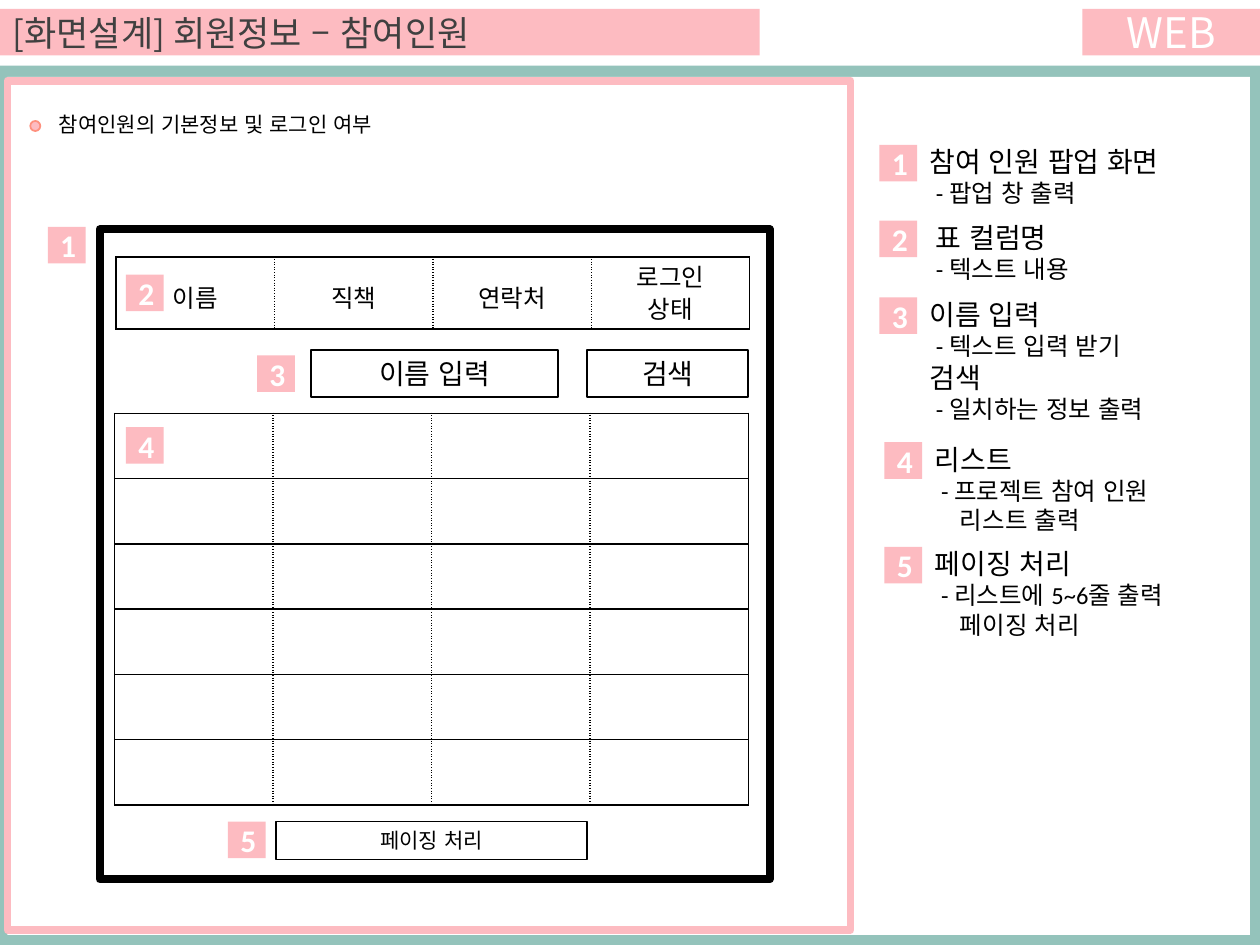
import pptx
import pptx.util
import pptx.dml.color
import pptx.enum.dml
import pptx.enum.lang
import pptx.enum.shapes
import pptx.enum.text
import pptx.oxml
from pptx.oxml.ns import nsdecls

Inches, Pt = pptx.util.Inches, pptx.util.Pt
SHAPE = pptx.enum.shapes.MSO_SHAPE
ALIGN = pptx.enum.text.PP_ALIGN
ANCHOR = pptx.enum.text.MSO_ANCHOR
FIT = pptx.enum.text.MSO_AUTO_SIZE

# ---- Theme ----
THEME = {
    "pink": "FDBBC1", "coral": "FE907E", "green": "94C3BB",
    "white": "FFFFFF", "black": "000000", "grey": "404040",
    "latin": "Calibri", "korean": "Noto Sans CJK KR",
    "web": 24, "title": 20, "badge": 18, "head": 16, "item": 14, "small": 12,
}

# ---- Content ----
TITLE = "[화면설계] 회원정보 – 참여인원"
PLATFORM = "WEB"
SUMMARY = "참여인원의 기본정보 및 로그인 여부"
COLUMNS = [["이름"], ["직책"], ["연락처"], ["로그인", "상태"]]
LIST_ROWS = 6

# label, size, line width, box
FIELDS = [
    ("이름 입력", "head", 1, (2.47, 2.78, 1.96, 0.37)),
    ("검색", "head", 1, (4.66, 2.78, 1.28, 0.37)),
    ("페이징 처리", "small", 0.75, (2.19, 6.52, 2.47, 0.3)),
]
# badge positions on the wireframe
MARKERS = [("1", 0.38, 1.8), ("2", 1, 2.18), ("3", 2.04, 2.82),
           ("4", 1, 3.39), ("5", 1.81, 6.52)]
# number, left, top, box height, lines as (size, indent, text)
NOTES = [
    ("1", 6.98, 1.15, 0.64, [("head", 0, "참여 인원 팝업 화면"),
                             ("item", 0.05, "- 팝업 창 출력")]),
    ("2", 6.98, 1.75, 0.64, [("head", 0.05, "표 컬럼명"),
                             ("item", 0.05, "- 텍스트 내용")]),
    ("3", 6.98, 2.36, 1.18, [("head", 0, "이름 입력"),
                             ("item", 0.05, "- 텍스트 입력 받기"),
                             ("head", 0, "검색"),
                             ("item", 0.05, "- 일치하는 정보 출력")]),
    ("4", 7.02, 3.51, 0.88, [("head", 0, "리스트"),
                             ("item", 0.05, "- 프로젝트 참여 인원"),
                             ("item", 0.2, "리스트 출력")]),
    ("5", 7.02, 4.34, 0.88, [("head", 0, "페이징 처리"),
                             ("item", 0.05, "- 리스트에 5~6줄 출력"),
                             ("item", 0.2, "페이징 처리")]),
]


def rgb(name):
    return pptx.dml.color.RGBColor.from_string(THEME[name])


def add_run(p, text, size, color="black", font="latin", bold=False):
    r = p.add_run()
    r.text = text
    r.font.size = Pt(THEME[size])
    r.font.bold = bold
    r.font.name = THEME[font]
    r.font.color.rgb = rgb(color)
    r.font.language_id = pptx.enum.lang.MSO_LANGUAGE_ID.KOREAN
    r.font._element.find(pptx.oxml.ns.qn("a:latin")).addnext(pptx.oxml.parse_xml(
        f'<a:ea {nsdecls("a")} typeface="{THEME["korean"]}"/>'))


def add_box(s, box, fill=None, line=None, width=1, kind=SHAPE.RECTANGLE):
    sp = s.shapes.add_shape(kind, *map(Inches, box))
    sp.shadow.inherit = False
    if fill:
        sp.fill.solid()
        sp.fill.fore_color.rgb = rgb(fill)
    else:
        sp.fill.background()
    if line:
        sp.line.color.rgb = rgb(line)
        sp.line.width = Pt(width)
    else:
        sp.line.fill.background()
    return sp


def add_label(sp, text, *style, **options):
    p = sp.text_frame.paragraphs[0]
    p.alignment = ALIGN.CENTER
    add_run(p, text, *style, **options)


def add_badge(s, number, left, top):
    sp = add_box(s, (left, top, 0.3, 0.29), fill="pink")
    add_label(sp, number, "badge", "white", bold=True)


def add_text(s, box, lines):
    tf = s.shapes.add_textbox(*map(Inches, box)).text_frame
    tf.word_wrap = True
    tf.auto_size = FIT.SHAPE_TO_FIT_TEXT
    for i, (size, indent, text) in enumerate(lines):
        p = tf.add_paragraph() if i else tf.paragraphs[0]
        if indent:
            p._p.get_or_add_pPr().set("marL", str(Inches(indent)))
        add_run(p, text, size)


def add_grid(s, box, rows):
    cols = len(COLUMNS)
    tbl = s.shapes.add_table(rows, cols, *map(Inches, box)).table
    tbl.first_row = tbl.horz_banding = False
    for r in range(rows):
        for c in range(cols):
            cell = tbl.cell(r, c)
            dashes = {"L": "sysDot" if c else "solid",
                      "R": "sysDot" if c < cols - 1 else "solid",
                      "T": "solid", "B": "solid"}
            for side, dash in dashes.items():
                cell._tc.get_or_add_tcPr().append(pptx.oxml.parse_xml(
                    f'<a:ln{side} {nsdecls("a")} w="{Pt(1)}"><a:solidFill>'
                    f'<a:srgbClr val="{THEME["black"]}"/></a:solidFill>'
                    f'<a:prstDash val="{dash}"/></a:ln{side}>'))
            cell.fill.solid()
            cell.fill.fore_color.rgb = rgb("white")
    return tbl


def main():
    prs = pptx.Presentation()
    prs.slide_width, prs.slide_height = Inches(10), Inches(7.5)
    s = prs.slides.add_slide(prs.slide_layouts[5])

    # Title bar and platform tag
    title = s.shapes.title
    title.left, title.top, title.width, title.height = map(Inches, (0, 0.07, 6.03, 0.37))
    title.fill.solid()
    title.fill.fore_color.rgb = rgb("pink")
    tf = title.text_frame
    tf.auto_size = FIT.NONE
    tf.vertical_anchor = ANCHOR.MIDDLE
    tf.paragraphs[0].alignment = ALIGN.LEFT
    add_run(tf.paragraphs[0], TITLE, "title", "grey", "korean")
    tag = add_box(s, (8.59, 0.07, 1.41, 0.37), fill="pink")
    add_label(tag, PLATFORM, "web", "white", "korean")

    # Frames
    add_box(s, (0, 0.52, 10, 6.98), fill="green")
    add_box(s, (0.06, 0.61, 9.86, 6.81), fill="white")
    add_box(s, (0.06, 0.64, 6.69, 6.74), line="pink", width=4.5)

    # Summary line
    add_box(s, (0.24, 0.96, 0.08, 0.08), "pink", "coral", kind=SHAPE.OVAL)
    add_text(s, (0.33, 0.84, 3.86, 0.3), [("small", 0.04, SUMMARY)])

    # Popup with header and list tables
    add_box(s, (0.79, 1.82, 5.32, 5.16), "white", "black", 4.5)
    header = add_grid(s, (0.92, 2.04, 5.03, 0.57), 1)
    for c, lines in enumerate(COLUMNS):
        cell = header.cell(0, c)
        single = len(lines) == 1
        cell.margin_top = Inches(0.17 if single else 0.03)
        cell.margin_bottom = Inches(0.03)
        for i, text in enumerate(lines):
            p = cell.text_frame.add_paragraph() if i else cell.text_frame.paragraphs[0]
            p.alignment = ALIGN.CENTER
            if not single:
                p.line_spacing = 0.9
            add_run(p, text, "item")
    add_grid(s, (0.91, 3.28, 5.03, 3.11), LIST_ROWS)

    # Input, search and paging fields
    for text, size, width, box in FIELDS:
        add_label(add_box(s, box, line="black", width=width), text, size)

    # Numbered markers and their notes
    for marker in MARKERS:
        add_badge(s, *marker)
    for number, left, top, height, lines in NOTES:
        add_badge(s, number, left, top)
        add_text(s, (left + 0.3, top - 0.05, 2.65, height), lines)

    prs.save("out.pptx")


if __name__ == "__main__":
    main()
